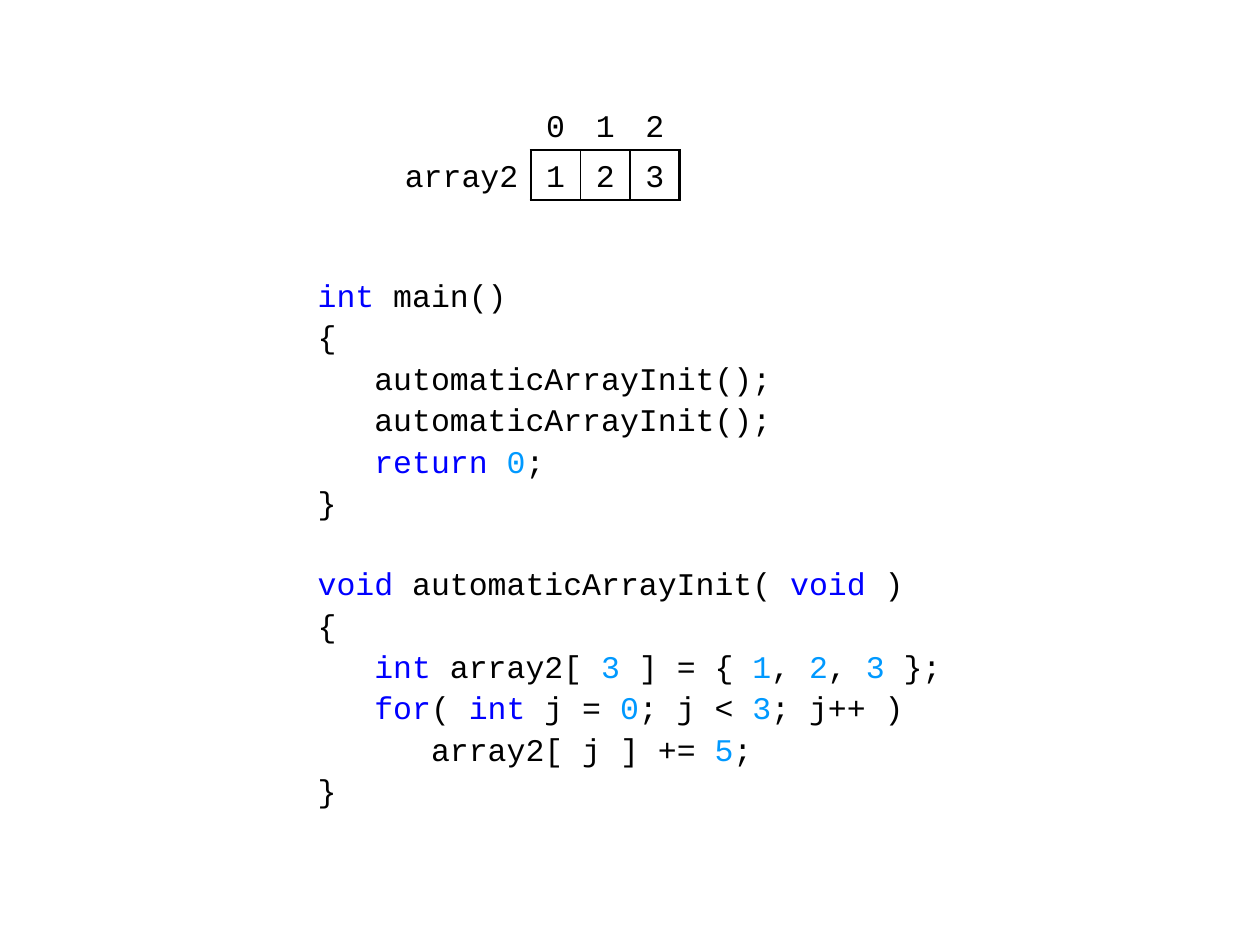
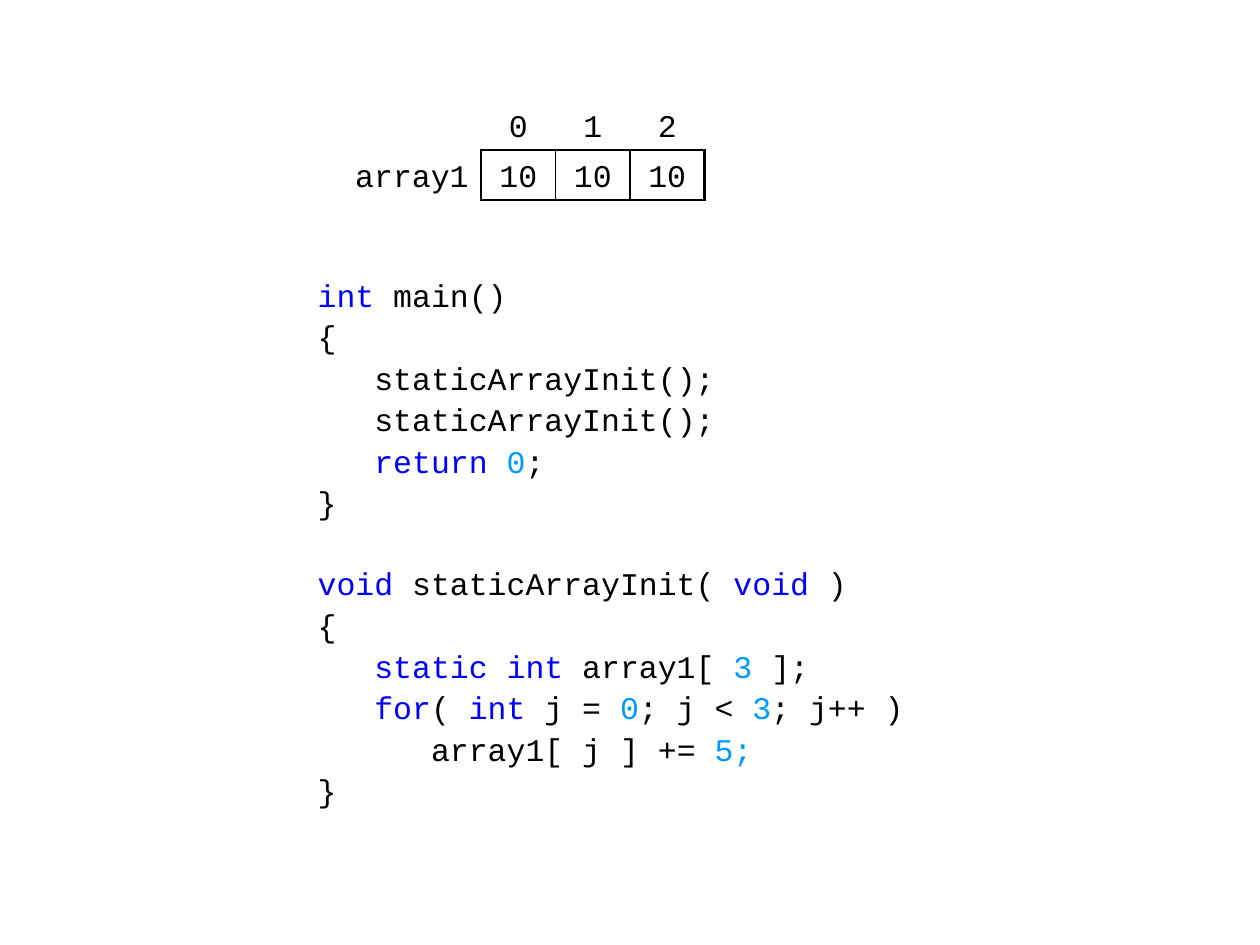
from dataclasses import dataclass
from itertools import groupby

from lxml.etree import SubElement
from pptx import Presentation
from pptx.dml.color import RGBColor
from pptx.enum.text import MSO_ANCHOR as Anchor, MSO_AUTO_SIZE as AutoSize, PP_ALIGN as Align
from pptx.oxml import parse_xml
from pptx.oxml.ns import nsdecls, qn
from pptx.util import Cm, Inches, Pt


@dataclass(frozen=True)
class Theme:
    font: str = "Courier New"
    size: float = 18
    plain: str = "000000"
    keyword: str = "0000FF"
    number: str = "0099FF"
    outer_border: float = 1.5
    inner_border: float = 0.75
    line_gap: float = 2.1
    empty_line: float = 22.5
    table_spacing: float = 1.2


THEME = Theme()
KEYWORDS = {"int", "void", "static", "return", "for"}
NO_GRID = "{2D5ABB26-0587-4C30-8999-92F81FD0307C}"
CELL_HEIGHT = 1
LABEL_WIDTH = 3
TABLE_TOP = 2.03
CODE_BOX = (6.2, 5.51, 13, 10.49)


def program(function, *body):
    main = ["int main()", "{", f"   {function}();", f"   {function}();", "   return 0;", "}"]
    return [main, [f"void {function}( void )", "{", *body, "}"]]


LOOP = "   for( int j = 0; j < 3; j++ )"
SLIDES = [
    {
        "label": "array2",
        "values": ["1", "2", "3"],
        "table_left": 7.7,
        "cell_width": 1,
        "code": program(
            "automaticArrayInit",
            "   int array2[ 3 ] = { 1, 2, 3 };",
            LOOP,
            "      array2[ j ] += 5;",
        ),
    },
    {
        "label": "array1",
        "values": ["10", "10", "10"],
        "table_left": 6.7,
        "cell_width": 1.5,
        "code": program(
            "staticArrayInit",
            "   static int array1[ 3 ];",
            LOOP,
            [("      array1[ j ] += ", THEME.plain), ("5;", THEME.number)],
        ),
    },
]


def token_color(token):
    if token in KEYWORDS:
        return THEME.keyword
    return THEME.number if token.isdigit() else THEME.plain


def highlight(line):
    if not isinstance(line, str):
        return line
    tokens = ("".join(group) for _, group in groupby(line, str.isalnum))
    colored = [(token, token_color(token)) for token in tokens]
    runs = groupby(colored, lambda pair: pair[1])
    return [("".join(token for token, _ in group), color) for color, group in runs]


def write(paragraph, text, align=Align.LEFT, before=0, spacing=1.0):
    paragraph.alignment = align
    paragraph.space_before = Pt(before)
    paragraph.line_spacing = spacing
    for piece, color in text:
        run = paragraph.add_run()
        run.text = piece
        run.font.name = THEME.font
        run.font.size = Pt(THEME.size)
        run.font.color.rgb = RGBColor.from_string(color)


def set_borders(cell, **widths):
    properties = cell._tc.get_or_add_tcPr()
    sides = [side for side in "LRTB" if side in widths]
    for index, side in enumerate(sides):
        properties.insert(index, parse_xml(
            f'<a:ln{side} {nsdecls("a")} w="{Pt(widths[side])}"><a:solidFill>'
            f'<a:srgbClr val="{THEME.plain}"/></a:solidFill></a:ln{side}>'
        ))


def add_array(slide, label, values, left, cell_width):
    last = len(values)
    rows = [["", *map(str, range(last))], [label, *values]]
    widths = [LABEL_WIDTH] + [cell_width] * last
    frame = slide.shapes.add_table(
        len(rows), len(widths), Cm(left), Cm(TABLE_TOP), Cm(sum(widths)), Cm(CELL_HEIGHT * len(rows))
    )
    table = frame.table
    table.first_row = table.horz_banding = False
    table._tbl.tblPr.find(qn("a:tableStyleId")).text = NO_GRID
    for column, width in zip(table.columns, widths):
        column.width = Cm(width)
    for row_index, row in enumerate(rows):
        for column_index, text in enumerate(row):
            cell = table.cell(row_index, column_index)
            cell.fill.background()
            cell.vertical_anchor = Anchor.MIDDLE
            cell.margin_top = cell.margin_bottom = 0
            paragraph = cell.text_frame.paragraphs[0]
            paragraph.font.size = Pt(THEME.size)
            align = Align.CENTER if column_index else Align.RIGHT
            write(paragraph, [(text, THEME.plain)] if text else [],
                  align=align, spacing=THEME.table_spacing)
    outer, inner = THEME.outer_border, THEME.inner_border
    set_borders(table.cell(1, 0), R=outer)
    for column_index in range(1, last + 1):
        set_borders(
            table.cell(1, column_index),
            L=outer if column_index == 1 else inner,
            R=outer if column_index == last else inner,
            T=outer,
            B=outer,
        )


def add_code(slide, blocks):
    body = slide.placeholders[1]
    body.left, body.top, body.width, body.height = map(Cm, CODE_BOX)
    frame = body.text_frame
    frame.word_wrap = True
    frame.auto_size = AutoSize.NONE
    frame.vertical_anchor = Anchor.TOP
    frame.margin_left = frame.margin_right = Inches(0.08)
    frame.margin_top = frame.margin_bottom = Inches(0.02)
    for block_index, block in enumerate(blocks):
        for line_index, line in enumerate(block):
            first = block_index == line_index == 0
            paragraph = frame.paragraphs[0] if first else frame.add_paragraph()
            properties = paragraph._p.get_or_add_pPr()
            properties.set("marL", "0")
            properties.set("indent", "0")
            SubElement(properties, qn("a:buNone"))
            gap = 0 if first else THEME.line_gap
            if block_index and not line_index:
                gap += THEME.empty_line
            write(paragraph, highlight(line), before=gap)


def main():
    presentation = Presentation()
    presentation.slide_width, presentation.slide_height = Inches(10), Inches(7.5)
    for content in SLIDES:
        slide = presentation.slides.add_slide(presentation.slide_layouts[1])
        title = slide.shapes.title.element
        title.getparent().remove(title)
        add_code(slide, content["code"])
        add_array(slide, content["label"], content["values"], content["table_left"], content["cell_width"])
    presentation.save("out.pptx")


if __name__ == "__main__":
    main()
